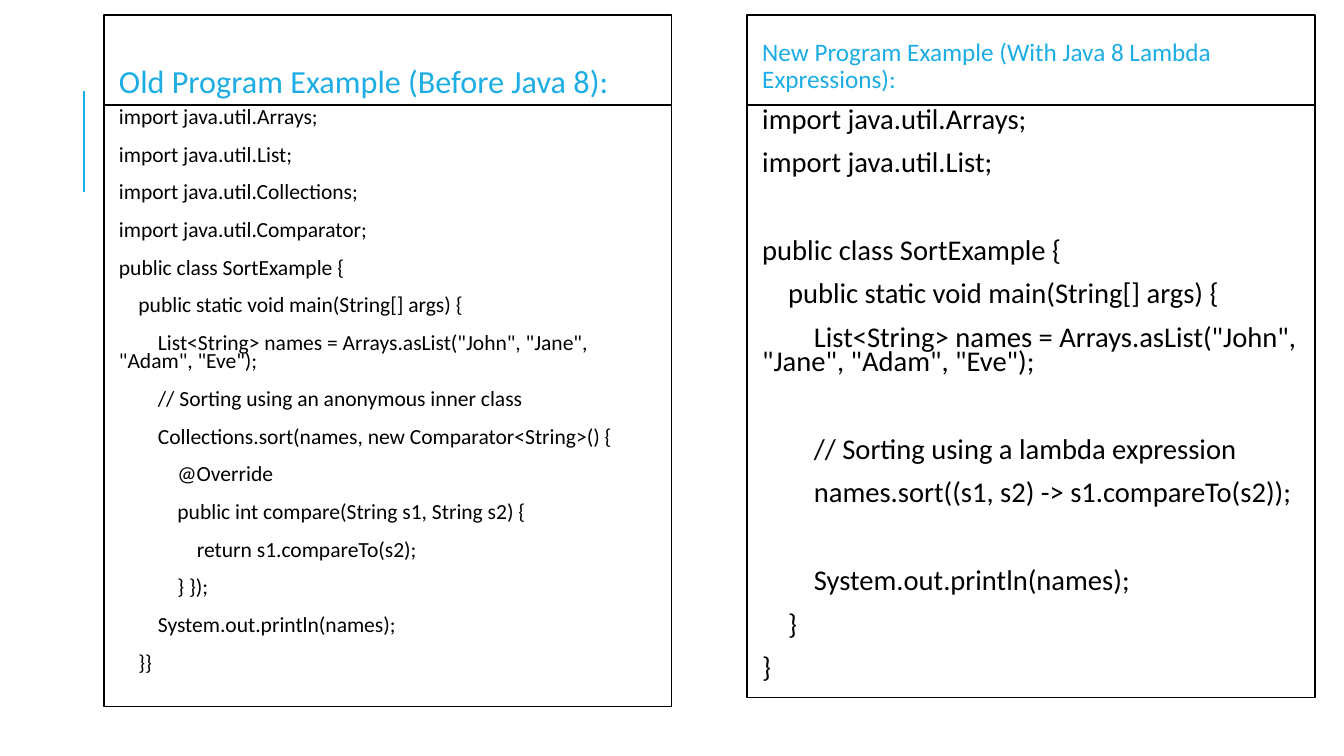
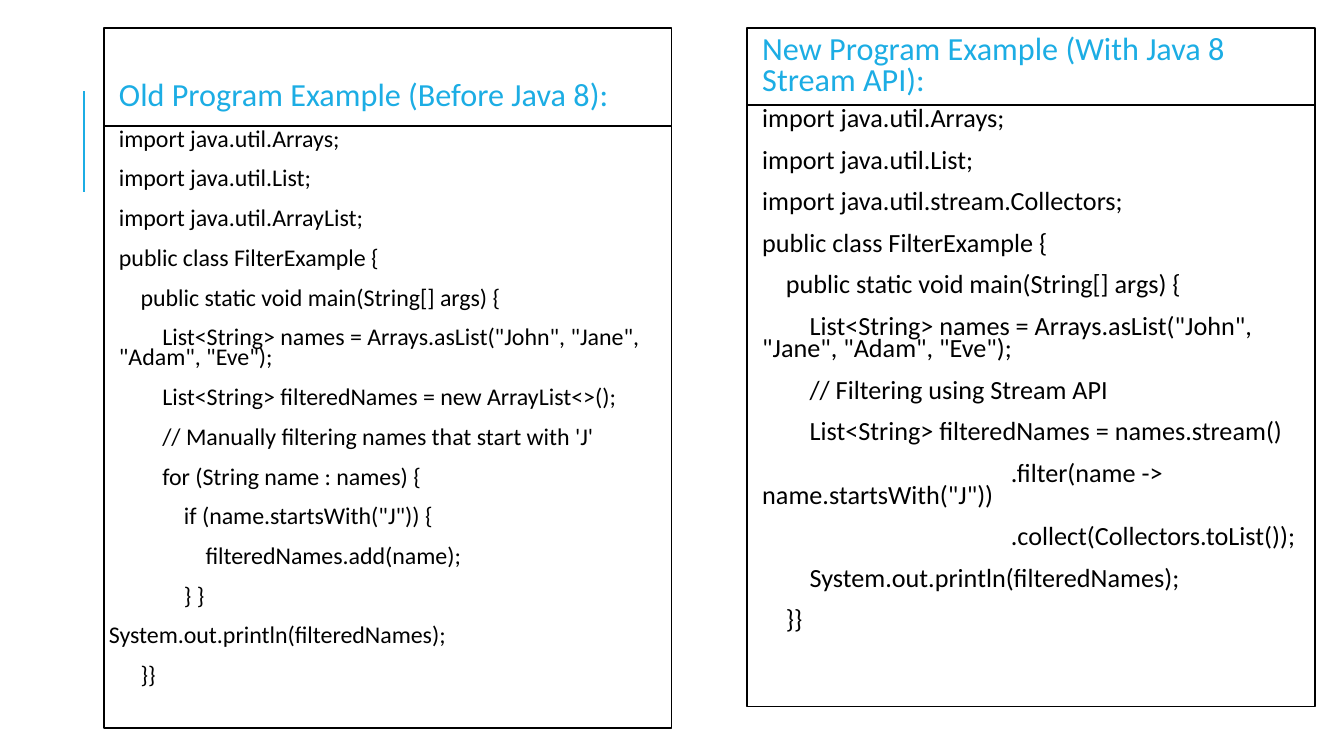
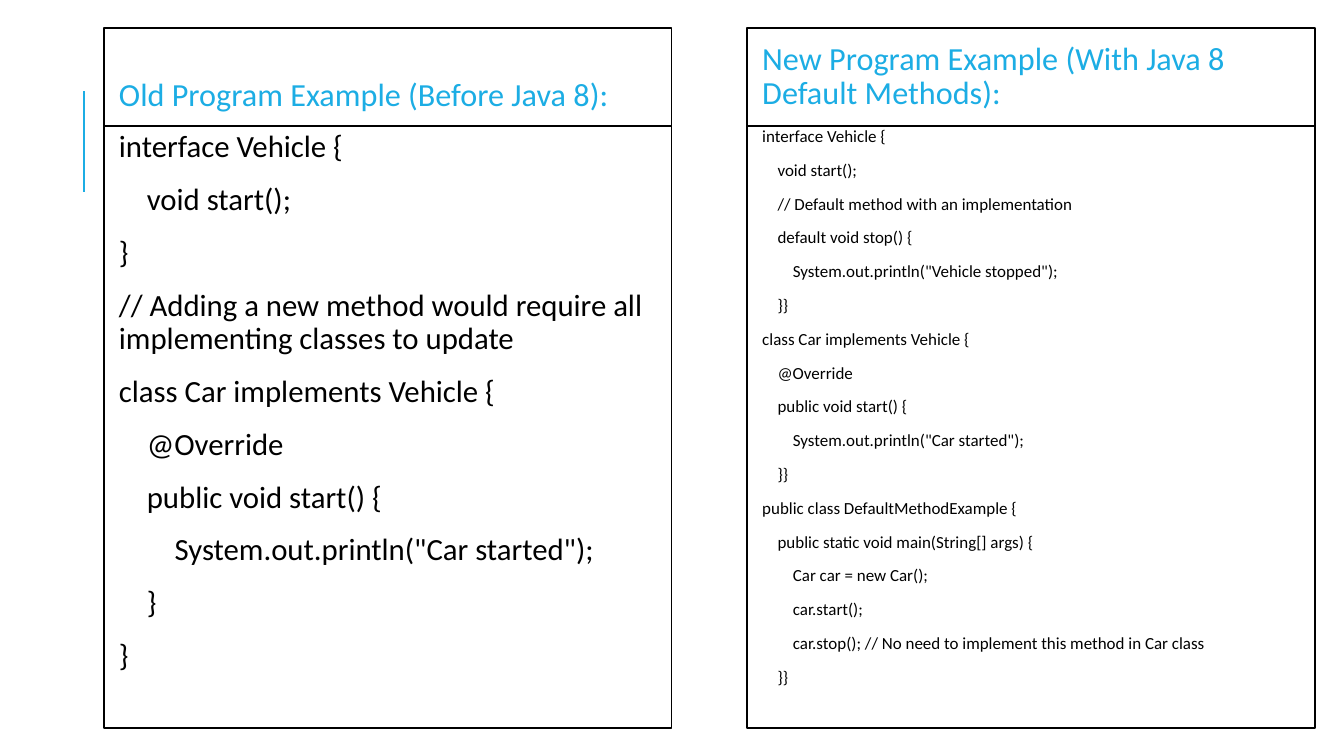
from dataclasses import dataclass

from lxml.etree import SubElement
from pptx import Presentation
from pptx.dml.color import RGBColor
from pptx.enum.shapes import MSO_CONNECTOR
from pptx.enum.text import MSO_ANCHOR, MSO_AUTO_SIZE, PP_ALIGN
from pptx.oxml.ns import qn
from pptx.util import Inches, Pt

COLORS = {"accent": "1CADE4", "text": "000000", "border": "000000", "panel": "FFFFFF"}
FONT = "Calibri"
SPACE_EM = 0.226  # width of a space in the font, in ems
LINE_EM = 1.22  # natural line height, in ems
SPACE_BEFORE, SPACE_AFTER = 12, 2
CODE_MARGIN = 0.1
COLUMNS = (1.03, 7.41)
PANEL_WIDTH = 5.63
OLD_HEADING = "Old Program Example (Before Java 8):"


@dataclass
class Panel:
    heading: str
    heading_top: float
    heading_height: float
    code_top: float
    code_size: float
    code: str
    code_height: float = 5.97
    heading_size: float = 23
    heading_spacing: float = 0.9
    code_spacing: float = 0.7
    outdented: str = ""  # line set at the very edge of the panel


# In the listings, leading spaces give the indent and a blank line gives a gap.
SLIDES = [
    (
        Panel(OLD_HEADING, 0.15, 1.35, 1.04, 15.4, """\
import java.util.Arrays;
import java.util.List;
import java.util.Collections;
import java.util.Comparator;
public class SortExample {
    public static void main(String[] args) {
        List<String> names = Arrays.asList("John", "Jane", "Adam", "Eve");
        // Sorting using an anonymous inner class
        Collections.sort(names, new Comparator<String>() {
            @Override
            public int compare(String s1, String s2) {
                return s1.compareTo(s2);
            } });
        System.out.println(names);
    }}"""),
        Panel("New Program Example (With Java 8 Lambda Expressions):",
              0.15, 1.03, 1.04, 20.4, """\
import java.util.Arrays;
import java.util.List;

public class SortExample {
    public static void main(String[] args) {
        List<String> names = Arrays.asList("John", "Jane", "Adam", "Eve");

        // Sorting using a lambda expression
        names.sort((s1, s2) -> s1.compareTo(s2));

        System.out.println(names);
    }
}""", code_height=5.88, heading_size=18),
    ),
    (
        Panel(OLD_HEADING, 0.28, 1.35, 1.25, 17.1, """\
import java.util.Arrays;
import java.util.List;
import java.util.ArrayList;
public class FilterExample {
    public static void main(String[] args) {
        List<String> names = Arrays.asList("John", "Jane", "Adam", "Eve");
        List<String> filteredNames = new ArrayList<>();
        // Manually filtering names that start with 'J'
        for (String name : names) {
            if (name.startsWith("J")) {
                filteredNames.add(name);
            } }
System.out.println(filteredNames);
    }}""", outdented="System.out.println(filteredNames);"),
        Panel("New Program Example (With Java 8 Stream API):",
              0.28, 0.76, 1.04, 18.7, """\
import java.util.Arrays;
import java.util.List;
import java.util.stream.Collectors;
public class FilterExample {
    public static void main(String[] args) {
        List<String> names = Arrays.asList("John", "Jane", "Adam", "Eve");
        // Filtering using Stream API
        List<String> filteredNames = names.stream()
                                          .filter(name -> name.startsWith("J"))
                                          .collect(Collectors.toList());
        System.out.println(filteredNames);
    }}""", heading_spacing=0.8),
    ),
    (
        Panel(OLD_HEADING, 0.28, 1.35, 1.25, 22, """\
interface Vehicle {
    void start();
}
// Adding a new method would require all implementing classes to update
class Car implements Vehicle {
    @Override
    public void start() {
        System.out.println("Car started");
    }
}""", code_spacing=0.9),
        Panel("New Program Example (With Java 8 Default Methods):",
              0.28, 0.97, 1.25, 12.1, """\
interface Vehicle {
    void start();
    // Default method with an implementation
    default void stop() {
        System.out.println("Vehicle stopped");
    }}
class Car implements Vehicle {
    @Override
    public void start() {
        System.out.println("Car started");
    }}
public class DefaultMethodExample {
    public static void main(String[] args) {
        Car car = new Car();
        car.start();
        car.stop(); // No need to implement this method in Car class
    }}"""),
    ),
]


def rgb(name):
    return RGBColor.from_string(COLORS[name])


def frame_box(sp, left, top, height, side_inset, anchor):
    """Place a placeholder as a bordered box and return its text frame."""
    sp.left, sp.top = Inches(left), Inches(top)
    sp.width, sp.height = Inches(PANEL_WIDTH), Inches(height)
    sp.fill.solid()
    sp.fill.fore_color.rgb = rgb("panel")
    sp.line.color.rgb = rgb("border")
    sp.line.width = Pt(1.25)
    tf = sp.text_frame
    tf.word_wrap = True
    tf.auto_size = MSO_AUTO_SIZE.NONE
    tf.vertical_anchor = anchor
    tf.margin_left = tf.margin_right = Inches(side_inset)
    tf.margin_top = tf.margin_bottom = Inches(0.05)
    return tf


def format_paragraph(p, size, color, spacing, before=0, after=0, margin=0, indent=0):
    p.alignment = PP_ALIGN.LEFT
    p.line_spacing = spacing
    p.space_before, p.space_after = Pt(before), Pt(after)
    pPr = p._p.get_or_add_pPr()
    pPr.set("marL", str(Inches(margin)))
    pPr.set("indent", str(Inches(indent)))
    SubElement(pPr, qn("a:buNone"))
    for r in p.runs:
        r.font.name, r.font.size, r.font.bold = FONT, Pt(size), False
        r.font.color.rgb = rgb(color)


def fill_heading(sp, left, panel):
    tf = frame_box(sp, left, panel.heading_top, panel.heading_height, 0.15,
                   MSO_ANCHOR.MIDDLE)
    tf.text = panel.heading
    format_paragraph(tf.paragraphs[0], panel.heading_size, "accent",
                     panel.heading_spacing)


def fill_code(sp, left, panel):
    tf = frame_box(sp, left, panel.code_top, panel.code_height, 0.05, MSO_ANCHOR.TOP)
    size, spacing = panel.code_size, panel.code_spacing
    blank_line = size * LINE_EM * spacing + SPACE_BEFORE + SPACE_AFTER
    p, gap = tf.paragraphs[0], 0
    for line in panel.code.splitlines():
        text = line.lstrip()
        if not text:
            gap += blank_line
            continue
        if p.text:
            p = tf.add_paragraph()
        p.text = text
        format_paragraph(
            p, size, "text", spacing, SPACE_BEFORE + gap, SPACE_AFTER,
            margin=0 if line == panel.outdented else CODE_MARGIN,
            indent=(len(line) - len(text)) * SPACE_EM * size / 72)
        gap = 0


def add_accent_line(slide, layout):
    """Draw the accent line and move it to the layout, where all slides share it."""
    line = slide.shapes.add_connector(
        MSO_CONNECTOR.STRAIGHT, Inches(0.83), Inches(1.9), Inches(0.83), Inches(0.9))
    line.line.color.rgb = rgb("accent")
    line.line.width = Pt(1.5)
    SubElement(line.element.spPr, qn("a:effectLst"))
    layout.shapes.element.append(line.element)


def main():
    prs = Presentation()
    prs.slide_width, prs.slide_height = Inches(13.33), Inches(7.5)
    layout = prs.slide_layouts.get_by_name("Comparison")
    for number, panels in enumerate(SLIDES):
        s = prs.slides.add_slide(layout)
        if number == 0:
            add_accent_line(s, layout)
        title, *boxes = s.placeholders
        title.element.getparent().remove(title.element)
        for left, panel, heading, code in zip(COLUMNS, panels, boxes[::2], boxes[1::2]):
            fill_heading(heading, left, panel)
            fill_code(code, left, panel)
    prs.save("out.pptx")


if __name__ == "__main__":
    main()
